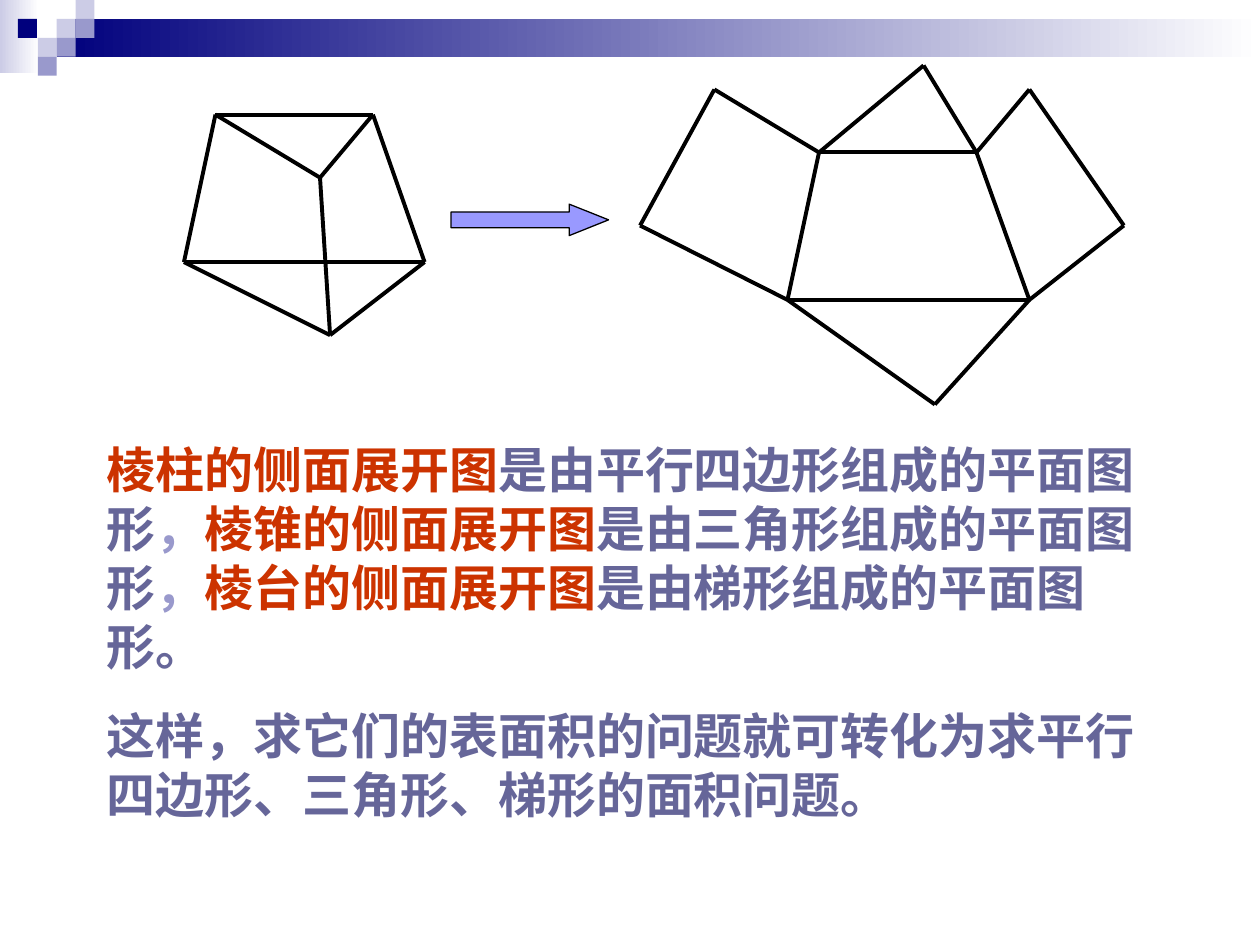
import pptx
import pptx.util
import pptx.oxml
from pptx.dml.color import RGBColor
from pptx.enum.shapes import MSO_CONNECTOR, MSO_SHAPE
from pptx.util import Inches

NAVY = RGBColor(0x00, 0x00, 0x7D)
PALE = RGBColor(0xCC, 0xCC, 0xE6)
MID = RGBColor(0x99, 0x99, 0xCC)
LILAC = RGBColor(0x99, 0x99, 0xFF)
SLATE = RGBColor(0x66, 0x66, 0x99)
RED = RGBColor(0xCC, 0x33, 0x00)
WHITE = RGBColor(0xFF, 0xFF, 0xFF)
BLACK = RGBColor(0x00, 0x00, 0x00)

CELL = 0.15

# Corner tiles as (column, row, colour), counted in cells
TILES = [(3, 1, PALE), (4, 0, PALE), (4, 1, MID), (2, 2, PALE),
         (0.95, 1, NAVY), (3, 2, MID), (2, 3, MID)]

# Solid: corners of the frustum, and the edges between them
SOLID = {"A": (0.25, 0), "B": (1.5, 0), "C": (1.08, 0.5),
         "D": (0, 1.17), "E": (1.91, 1.17), "F": (1.16, 1.75)}
SOLID_EDGES = "AB AC BC DE DF FE AD BE CF".split()

# Net: the frustum unfolded around its front face
NET = {"A": (1.42, 0.69), "B": (2.67, 0.69), "C": (1.17, 1.86),
       "D": (3.09, 1.86), "E": (0.59, 0.19), "F": (0, 1.27),
       "G": (3.09, 0.19), "H": (3.84, 1.27), "T": (2.25, 0),
       "L": (2.34, 2.69)}
NET_EDGES = "AB CD AC BD EA FC EF GB DH GH TA TB CL LD".split()

PARAS = [
    [("棱柱的侧面展开图", RED), ("是由平行四边形组成的平面图形", SLATE),
     ("，", MID), ("棱锥的侧面展开图", RED),
     ("是由三角形组成的平面图形", SLATE), ("，", MID),
     ("棱台的侧面展开图", RED), ("是由梯形组成的平面图形。", SLATE)],
    [("这样，求它们的表面积的问题就可转化为求平行四边形、三角形、"
      "梯形的面积问题。", SLATE)],
]


def add_box(shapes, kind, left, top, width, height):
    box = shapes.add_shape(kind, Inches(left), Inches(top),
                           Inches(width), Inches(height))
    box.shadow.inherit = False
    box.line.fill.background()
    return box


def add_fade(shapes, left, top, width, height, start):
    box = add_box(shapes, MSO_SHAPE.RECTANGLE, left, top, width, height)
    box.fill.gradient()
    box.fill.gradient_angle = 0
    for stop, color in zip(box.fill.gradient_stops, (start, WHITE)):
        stop.color.rgb = color


# Top band with its corner tiles
def add_band(slide, left, top, width):
    shapes = slide.shapes.add_group_shape().shapes
    add_fade(shapes, left, top, 0.31, 0.58, PALE)
    add_fade(shapes, left + 3 * CELL, top + CELL,
             width - 3 * CELL, 2 * CELL, NAVY)
    for col, row, color in TILES:
        tile = add_box(shapes, MSO_SHAPE.RECTANGLE, left + col * CELL,
                       top + row * CELL, CELL, CELL)
        tile.fill.solid()
        tile.fill.fore_color.rgb = color


# Wire figure drawn from its corners and edges
def add_wire(slide, left, top, points, edges):
    shapes = slide.shapes.add_group_shape().shapes
    for start, end in edges:
        (x1, y1), (x2, y2) = points[start], points[end]
        line = shapes.add_connector(
            MSO_CONNECTOR.STRAIGHT, Inches(left + x1), Inches(top + y1),
            Inches(left + x2), Inches(top + y2))
        line.line.color.rgb = BLACK
        line.line.width = pptx.util.Pt(2.25)
        props = line._element.spPr
        props.append(pptx.oxml.parse_xml(
            '<a:effectLst xmlns:a="http://schemas.openxmlformats.org/'
            'drawingml/2006/main"/>'))


# Arrow from the solid to its net
def add_arrow(slide, left, top, width, height):
    arrow = add_box(slide.shapes, MSO_SHAPE.RIGHT_ARROW,
                    left, top, width, height)
    arrow.adjustments[0] = 0.5
    arrow.adjustments[1] = 1.25
    arrow.fill.solid()
    arrow.fill.fore_color.rgb = LILAC
    arrow.line.color.rgb = BLACK
    arrow.line.width = pptx.util.Pt(0.75)


# Explanation below the figures
def add_text(slide, left, top, width, height):
    frame = slide.shapes.add_textbox(
        Inches(left), Inches(top), Inches(width), Inches(height)).text_frame
    frame.word_wrap = True
    for i, runs in enumerate(PARAS):
        para = frame.add_paragraph() if i else frame.paragraphs[0]
        # Keep closing punctuation inside the margin
        para._p.get_or_add_pPr().set("hangingPunct", "0")
        if i:
            para.space_before = pptx.util.Pt(17.5)
        para.font.name = "Arial"
        para.font.size = pptx.util.Pt(28)
        para.font.bold = True
        for text, color in runs:
            run = para.add_run()
            run.text = text
            run.font.color.rgb = color


def main():
    deck = pptx.Presentation()
    deck.slide_width, deck.slide_height = Inches(10), Inches(7.5)
    slide = deck.slides.add_slide(deck.slide_layouts[6])
    add_band(slide, 0, 0, 10)
    add_wire(slide, 1.46, 0.91, SOLID, SOLID_EDGES)
    add_arrow(slide, 3.58, 1.62, 1.25, 0.25)
    add_wire(slide, 5.08, 0.52, NET, NET_EDGES)
    add_text(slide, 0.75, 3.44, 8.5, 2.68)
    deck.save("out.pptx")


if __name__ == "__main__":
    main()
